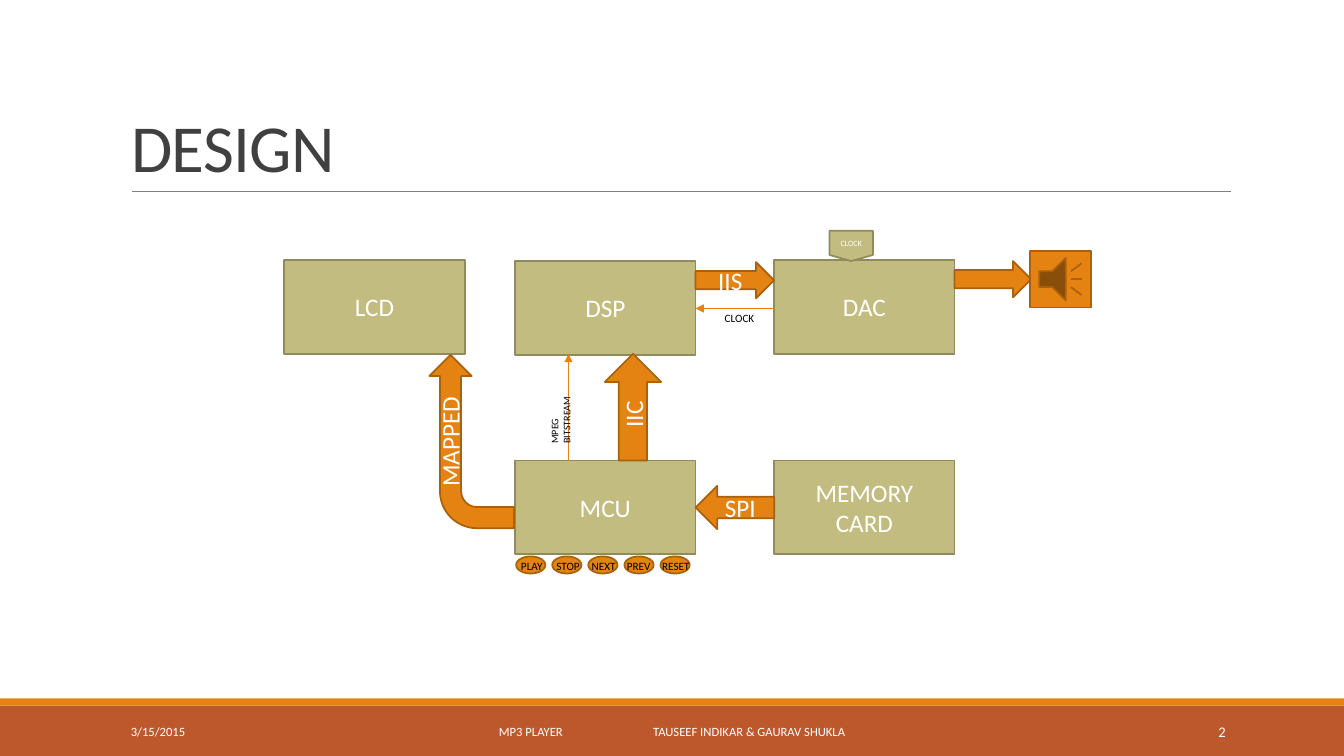
"""Build the MP3 player block-diagram slide on a grid of tenth-inch cells."""
from dataclasses import dataclass
from typing import Optional

from lxml import etree
from pptx import Presentation
from pptx import util as u
from pptx.dml.color import RGBColor
from pptx.enum import shapes, text
from pptx.oxml import ns

WHITE = RGBColor(0xFF, 0xFF, 0xFF)
BLACK = RGBColor(0x00, 0x00, 0x00)
CHARCOAL = RGBColor(0x40, 0x40, 0x40)
GREY = RGBColor(0x80, 0x80, 0x80)
RUST = RGBColor(0xBD, 0x58, 0x2C)
ORANGE = RGBColor(0xE4, 0x83, 0x12)
BROWN = RGBColor(0xA9, 0x61, 0x0D)
KHAKI = RGBColor(0xC2, 0xBC, 0x80)
OLIVE = RGBColor(0x90, 0x8B, 0x5F)

COLS, ROWS = 133.33, 75
BLOCK_W, BLOCK_H = 17.9, 9.3
LEFT, MIDDLE, RIGHT = 28.2, 51.1, 76.8
UPPER, LOWER = 25.8, 45.7
GAP_W = RIGHT - MIDDLE - BLOCK_W
FOOTER_ROW, FOOTER_H = 70.6, 4
BUTTONS = ("PLAY", "STOP", "NEXT", "PREV", "RESET")

KIND = shapes.MSO_SHAPE
ALIGN = text.PP_ALIGN
ANCHOR = text.MSO_ANCHOR


@dataclass
class Box:
    """A rectangle measured in grid columns and rows."""
    col: float
    row: float
    w: float
    h: float

    def emu(self) -> tuple:
        """Return left, top, width and height as lengths."""
        return tuple(cell(n) for n in (self.col, self.row, self.w, self.h))


@dataclass
class Node:
    """A filled shape of the diagram, with an optional label."""
    kind: KIND
    box: Box
    label: str = ""
    fill: RGBColor = ORANGE
    line: Optional[RGBColor] = BROWN
    size: float = 18
    rotation: float = 0
    anchor: ANCHOR = ANCHOR.MIDDLE
    vert: str = ""
    wrap: bool = True


@dataclass
class Wire:
    """A straight line between two grid points."""
    start: tuple
    end: tuple
    color: RGBColor = ORANGE
    width: float = 1
    arrow: bool = True


@dataclass
class Note:
    """A piece of free text."""
    label: str
    box: Box
    size: float = 8
    color: RGBColor = BLACK
    align: ALIGN = ALIGN.LEFT
    anchor: ANCHOR = ANCHOR.TOP
    vert: str = ""
    wrap: bool = False


def cell(n: float) -> u.Emu:
    """Convert grid cells to a length."""
    return u.Inches(n / 10)


def block(label: str, col: float, row: float) -> Node:
    """Describe one main component of the player."""
    return Node(KIND.FLOWCHART_PROCESS, Box(col, row, BLOCK_W, BLOCK_H),
                label, KHAKI, OLIVE)


def write(tf, label: str, *, size: float, color: RGBColor,
          align: ALIGN = ALIGN.CENTER, anchor: ANCHOR = ANCHOR.MIDDLE,
          vert: str = "", wrap: bool = True) -> None:
    """Fill a text frame, one paragraph for each line."""
    tf.word_wrap = wrap
    tf.vertical_anchor = anchor
    if vert:
        tf._txBody.bodyPr.set("vert", vert)
    tf.text = label
    for p in tf.paragraphs:
        p.alignment = align
        for r in p.runs:
            r.font.name = "Calibri"
            r.font.size = u.Pt(size)
            r.font.color.rgb = color


def draw_node(s, node: Node):
    """Draw a filled shape and its label."""
    sp = s.shapes.add_shape(node.kind, *node.box.emu())
    sp.shadow.inherit = False
    sp.rotation = node.rotation
    sp.fill.solid()
    sp.fill.fore_color.rgb = node.fill
    if node.line is None:
        sp.line.fill.background()
    else:
        sp.line.color.rgb = node.line
        sp.line.width = u.Pt(1.25)
    if node.label:
        write(sp.text_frame, node.label, size=node.size, color=WHITE,
              anchor=node.anchor, vert=node.vert, wrap=node.wrap)
    return sp


def draw_wire(s, wire: Wire) -> None:
    """Draw a straight line, with an arrowhead at its end if asked."""
    ends = [cell(n) for n in (*wire.start, *wire.end)]
    cx = s.shapes.add_connector(shapes.MSO_CONNECTOR.STRAIGHT, *ends)
    cx.line.color.rgb = wire.color
    cx.line.width = u.Pt(wire.width)
    if wire.arrow:
        etree.SubElement(cx.line._get_or_add_ln(), ns.qn("a:tailEnd"), type="triangle")
    etree.SubElement(cx._element.spPr, ns.qn("a:effectLst"))


def draw_note(s, note: Note):
    """Draw free text and return its text frame."""
    tf = s.shapes.add_textbox(*note.box.emu()).text_frame
    write(tf, note.label, size=note.size, color=note.color, align=note.align,
          anchor=note.anchor, vert=note.vert, wrap=note.wrap)
    return tf


def draw_title(s) -> None:
    """Place and format the title."""
    sp = s.shapes.title
    sp.left, sp.top, sp.width, sp.height = Box(12, 3.1, 110, 15.9).emu()
    tf = sp.text_frame
    write(tf, "DESIGN", size=48, color=CHARCOAL, align=ALIGN.LEFT, anchor=ANCHOR.BOTTOM)
    tf.auto_size = text.MSO_AUTO_SIZE.NONE
    p = tf.paragraphs[0]
    p.line_spacing = 0.85
    p.runs[0].font._element.set("spc", "-50")


def draw_footer(s) -> None:
    """Draw the bottom bands, the date, the credits and the page number."""
    draw_node(s, Node(KIND.RECTANGLE, Box(0, 70, COLS, ROWS - 70), fill=RUST, line=None))
    draw_node(s, Node(KIND.RECTANGLE, Box(0, 69.3, COLS, 0.7), line=None))
    style = dict(color=WHITE, anchor=ANCHOR.MIDDLE, wrap=True)
    draw_note(s, Note("3/15/2015", Box(12, FOOTER_ROW, 27, FOOTER_H), 9, **style))
    draw_note(s, Note("2", Box(108.3, FOOTER_ROW, 14.3, FOOTER_H), 10.5,
                      align=ALIGN.RIGHT, **style))
    tf = draw_note(s, Note("MP3 PLAYER\tTAUSEEF INDIKAR & GAURAV SHUKLA",
                           Box(40.3, FOOTER_ROW, 52.7, FOOTER_H), 9, **style))
    tf.margin_left = cell(9.2)
    tabs = etree.SubElement(tf.paragraphs[0]._p.get_or_add_pPr(), ns.qn("a:tabLst"))
    etree.SubElement(tabs, ns.qn("a:tab"), pos=str(cell(15.3)), algn="l")


def draw_diagram(s) -> None:
    """Draw the components, the buses between them and the buttons."""
    bus = MIDDLE + BLOCK_W
    nodes = [
        block("LCD", LEFT, UPPER), block("MCU", MIDDLE, LOWER),
        block("DAC", RIGHT, UPPER), block("DSP", MIDDLE, UPPER + 0.1),
        block("MEMORY\nCARD", RIGHT, LOWER),
        Node(KIND.LEFT_ARROW, Box(bus, 48.2, GAP_W, 4.3), "SPI"),
        Node(KIND.UP_ARROW, Box(60, 35.1, 5.6, 10.6), "IIC", vert="vert270"),
        Node(KIND.RIGHT_ARROW, Box(RIGHT + BLOCK_W, 25.9, 7.6, 3.6)),
        Node(KIND.ACTION_BUTTON_SOUND, Box(102.2, 24.9, 6, 5.6)),
        Node(KIND.BENT_ARROW, Box(38.2, 39.6, 17.2, 8.4), "MAPPED",
             rotation=270, anchor=ANCHOR.TOP),
        Node(KIND.RIGHT_ARROW, Box(bus, 26, GAP_W, 3.6), "IIS"),
        Node(KIND.FLOWCHART_OFFPAGE_CONNECTOR, Box(82.3, 22.9, 4.3, 3), "CLOCK",
             KHAKI, OLIVE, size=5.8, wrap=False),
    ]
    nodes += [Node(KIND.OVAL, Box(51.2 + 3.58 * i, 55.2, 2.9, 1.7))
              for i in range(len(BUTTONS))]
    for node in nodes:
        draw_node(s, node)
    draw_wire(s, Wire((56.4, LOWER), (56.4, 35.1)))
    draw_wire(s, Wire((RIGHT, 30.6), (bus, 30.6)))
    notes = [Note("MPEG BITSTREAM", Box(53.9, 35.8, 3.3, 9.2), 7.2,
                  vert="vert270", wrap=True),
             Note("CLOCK", Box(70.9, 30.4, 6.9, 2.4))]
    notes += [Note(name, Box(50.7 + 3.5 * i, 55, 5.2, 2.4))
              for i, name in enumerate(BUTTONS)]
    for note in notes:
        draw_note(s, note)


def main() -> None:
    """Build and save the slide."""
    prs = Presentation()
    prs.slide_width, prs.slide_height = cell(COLS), cell(ROWS)
    s = prs.slides.add_slide(prs.slide_layouts[5])
    draw_footer(s)
    draw_title(s)
    draw_wire(s, Wire((13.1, 19), (122.1, 19), GREY, 0.5, arrow=False))
    draw_diagram(s)
    prs.save("out.pptx")


if __name__ == "__main__":
    main()
